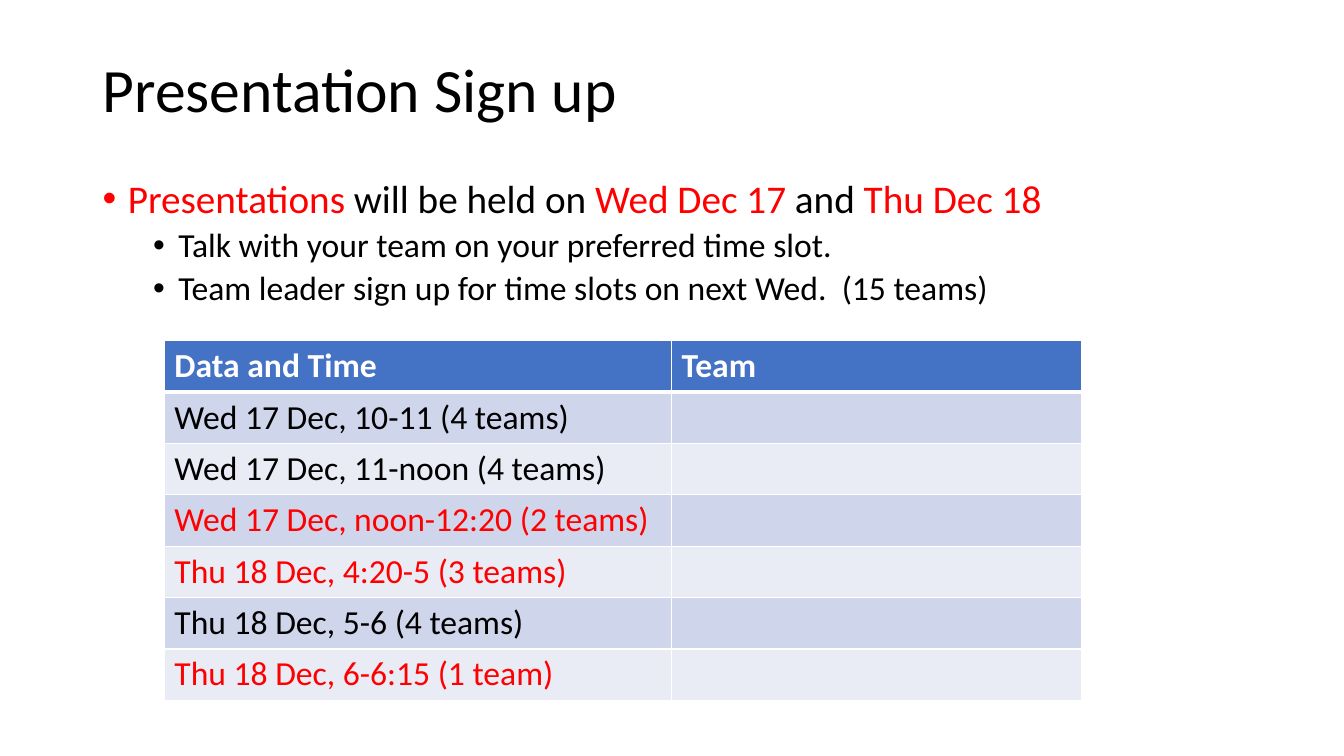
from lxml.etree import SubElement
from pptx import Presentation
from pptx.dml.color import RGBColor
from pptx.enum.text import MSO_ANCHOR
from pptx.oxml.ns import qn
from pptx.util import Inches, Pt

BLACK = RGBColor(0x00, 0x00, 0x00)
WHITE = RGBColor(0xFF, 0xFF, 0xFF)
RED = RGBColor(0xFF, 0x00, 0x00)
HEADER_BLUE = RGBColor(0x44, 0x72, 0xC4)
BAND_DARK = RGBColor(0xCF, 0xD5, 0xEA)
BAND_LIGHT = RGBColor(0xE9, 0xEB, 0xF5)


def add_span(para, text, size=24, color=BLACK, bold=False):
    span = para.add_run()
    span.text = text
    span.font.name = "Calibri"
    span.font.size = Pt(size)
    span.font.bold = bold
    span.font.color.rgb = color


def add_border(cell, side, width):
    line = SubElement(cell._tc.get_or_add_tcPr(), qn(f"a:ln{side}"), w=str(Pt(width)))
    fill = SubElement(line, qn("a:solidFill"))
    SubElement(fill, qn("a:srgbClr"), val=str(WHITE))


deck = Presentation()
deck.slide_width = Inches(13.33)
deck.slide_height = Inches(7.5)
page = deck.slides.add_slide(deck.slide_layouts[6])

# Title
title_box = page.shapes.add_textbox(Inches(0.92), Inches(0.4), Inches(11.5), Inches(1.03))
title_box.text_frame.word_wrap = True
title_box.text_frame.vertical_anchor = MSO_ANCHOR.MIDDLE
title_para = title_box.text_frame.paragraphs[0]
title_para.line_spacing = 0.9
add_span(title_para, "Presentation Sign up", size=44)

# Bullets: level, size, spans
bullets = [
    (0, 28, [("Presentations", RED), (" will be held on ", BLACK), ("Wed Dec 17 ", RED),
             ("and", BLACK), (" Thu Dec 18", RED)]),
    (1, 24, [("Talk with your team on your preferred time slot.", BLACK)]),
    (1, 24, [("Team leader sign up for time slots on next Wed.  (15 teams)", BLACK)]),
]
body_box = page.shapes.add_textbox(Inches(0.92), Inches(1.73), Inches(11.5), Inches(1.49))
body = body_box.text_frame
body.word_wrap = True
for index, (level, size, spans) in enumerate(bullets):
    para = body.add_paragraph() if index else body.paragraphs[0]
    properties = para._p.get_or_add_pPr()
    properties.set("marL", str(Inches(0.25 + 0.5 * level)))
    properties.set("indent", str(Inches(-0.25)))
    SubElement(properties, qn("a:buFont"), typeface="Arial")
    SubElement(properties, qn("a:buChar"), char="•")
    para.level = level
    para.line_spacing = 0.9
    if index:
        para.space_before = Pt(5)
    for text, color in spans:
        add_span(para, text, size=size, color=color)

# Sign-up table
rows = [
    ("Data and Time", "Team", WHITE),
    ("Wed 17 Dec, 10-11 (4 teams)", "", BLACK),
    ("Wed 17 Dec, 11-noon (4 teams)", "", BLACK),
    ("Wed 17 Dec, noon-12:20 (2 teams)", "", RED),
    ("Thu 18 Dec, 4:20-5 (3 teams)", "", RED),
    ("Thu 18 Dec, 5-6 (4 teams)", "", BLACK),
    ("Thu 18 Dec, 6-6:15 (1 team)", "", RED),
]
row_height = 0.51
table = page.shapes.add_table(len(rows), 2, Inches(1.63), Inches(3.38),
                              Inches(9.1), Inches(row_height * len(rows))).table
table.columns[0].width = Inches(5.03)
table.columns[1].width = Inches(4.07)
for row_index, (slot, team, color) in enumerate(rows):
    table.rows[row_index].height = Inches(row_height)
    if row_index == 0:
        row_fill = HEADER_BLUE
    else:
        row_fill = BAND_DARK if row_index % 2 else BAND_LIGHT
    for column_index, text in enumerate((slot, team)):
        cell = table.cell(row_index, column_index)
        add_border(cell, "L", 1)
        add_border(cell, "R", 1)
        add_border(cell, "T", 3 if row_index == 1 else 1)
        add_border(cell, "B", 3 if row_index == 0 else 1)
        cell.fill.solid()
        cell.fill.fore_color.rgb = row_fill
        if text:
            add_span(cell.text_frame.paragraphs[0], text, color=color, bold=row_index == 0)

deck.save("out.pptx")
